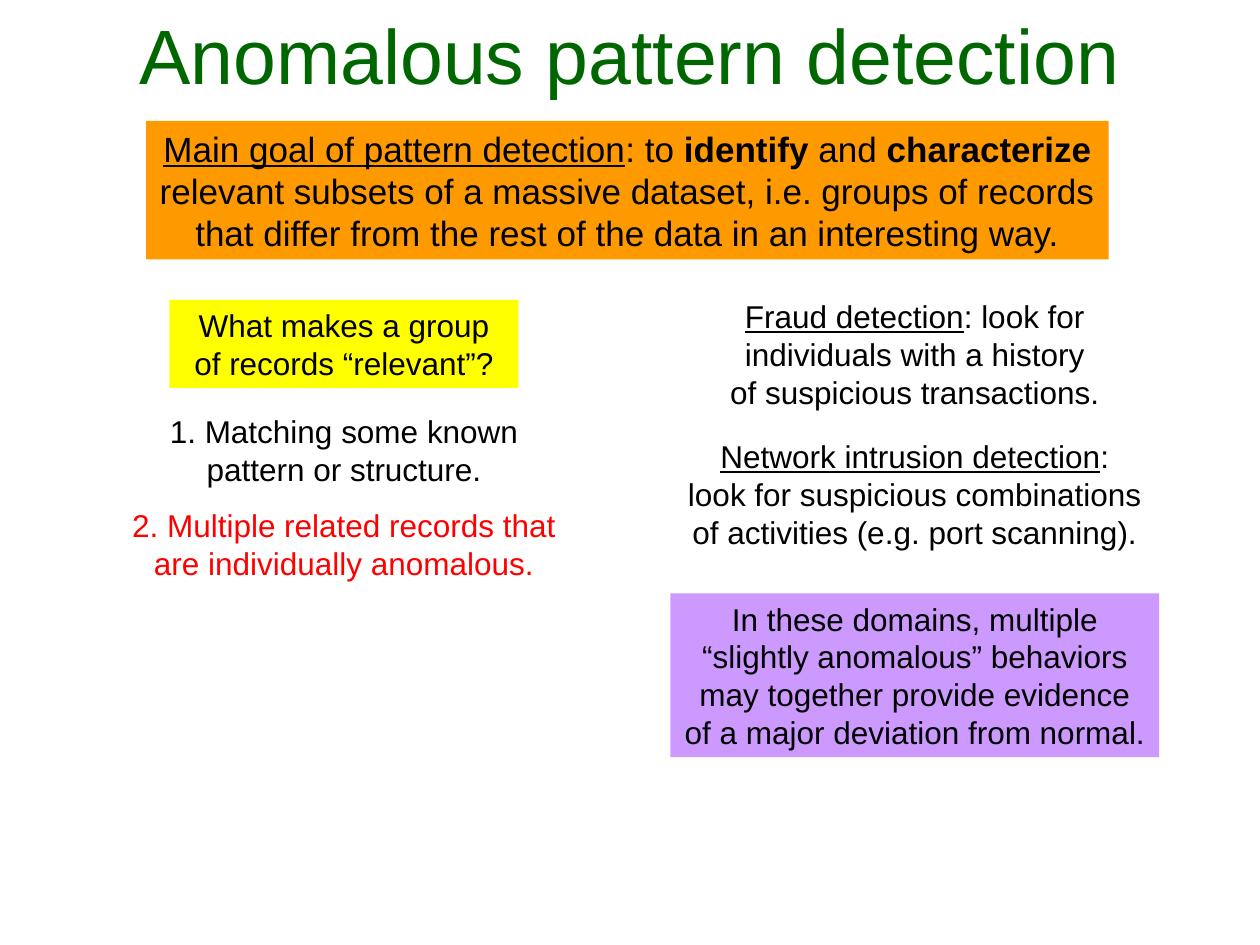
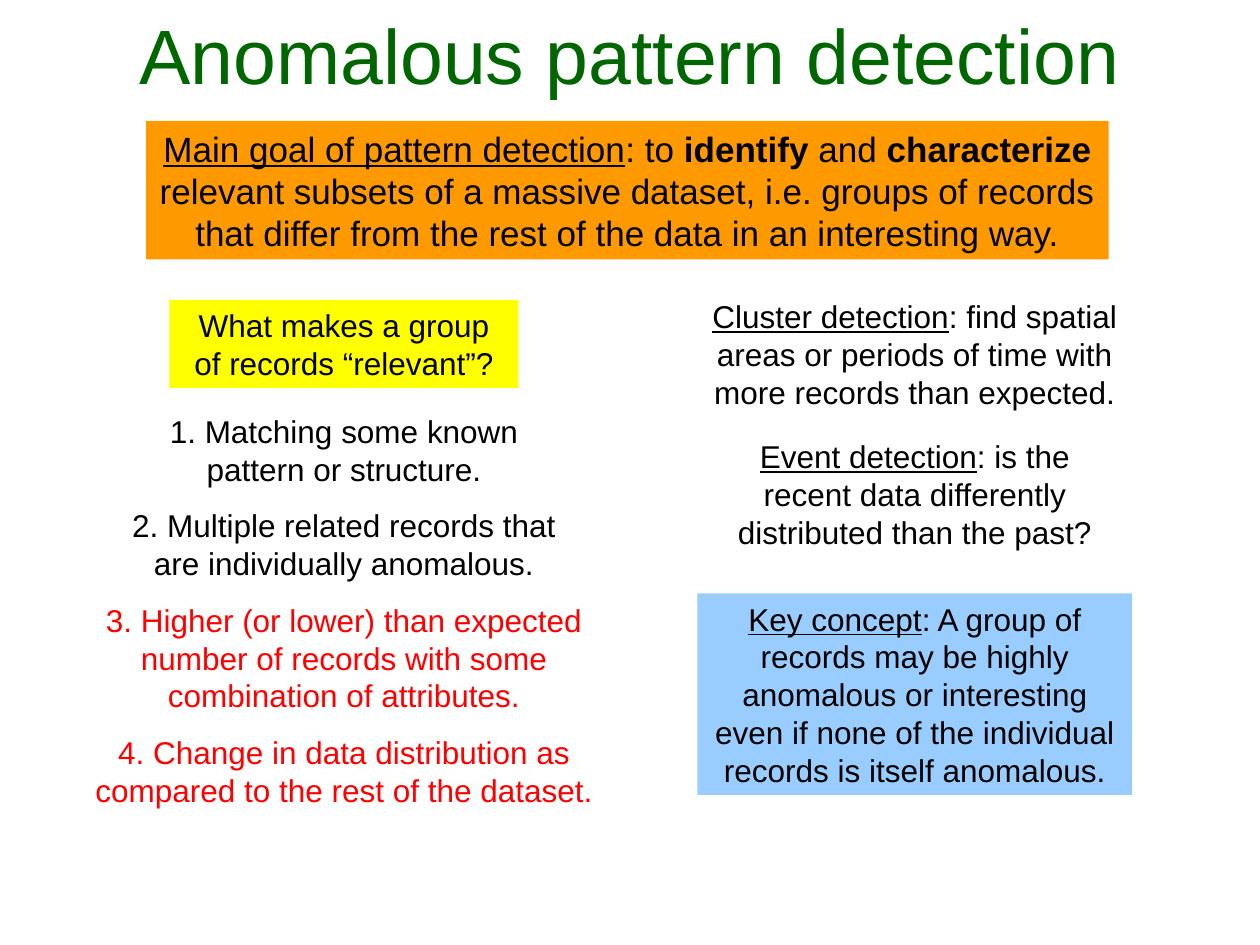
from dataclasses import dataclass

from pptx import Presentation
from pptx.dml.color import RGBColor
from pptx.enum.shapes import MSO_SHAPE
from pptx.enum.text import MSO_ANCHOR, PP_ALIGN
from pptx.util import Inches, Pt

RECTANGLE = MSO_SHAPE.RECTANGLE
CENTER = PP_ALIGN.CENTER
TOP, BOTTOM = MSO_ANCHOR.TOP, MSO_ANCHOR.BOTTOM
BLANK_LAYOUT = 6


@dataclass(frozen=True)
class Theme:
    font: str = "Arial"
    title_size: int = 44
    goal_size: int = 20
    body_size: int = 18
    title: str = "006600"
    text: str = "000000"
    highlight: str = "FF0000"
    goal: str = "FF9900"
    question: str = "FFFF00"
    evidence: str = "CC99FF"
    concept: str = "99CCFF"


@dataclass(frozen=True)
class Block:
    width: float
    lines: int
    runs: tuple
    color: str = Theme.text
    fill: str = ""

    @property
    def height(self):
        return 0.1 + 0.3 * self.lines


THEME = Theme()
LEFT_CENTER, RIGHT_CENTER = 2.73, 7.26
UNDERLINE, BOLD = "underline", "bold"


def plain(text):
    return ((text, ""),)


def headed(heading, text):
    return ((heading, UNDERLINE), (text, ""))


GOAL = (
    ("Main goal of pattern detection", UNDERLINE),
    (": to ", ""),
    ("identify", BOLD),
    (" and ", ""),
    ("characterize", BOLD),
    (" relevant subsets of a massive dataset, i.e. groups of records "
     "that differ from the rest of the data in an interesting way.", ""),
)
QUESTION = Block(2.77, 2, plain("What makes a group of records “relevant”?"),
                 fill=THEME.question)
POINTS = (
    (3.02, 2, plain("1. Matching some known pattern or structure.")),
    (3.66, 2, plain("2. Multiple related records that are individually anomalous.")),
    (4.03, 3, plain("3. Higher (or lower) than expected number of records "
                    "with some combination of attributes.")),
    (4.27, 2, plain("4. Change in data distribution as compared to the rest "
                    "of the dataset.")),
)
SLIDES = (
    {
        "shown": 2,
        "new_from": 1,
        "examples": (
            Block(3.29, 3, headed("Fraud detection",
                                  ": look for individuals with a history\n"
                                  "of suspicious transactions.")),
            Block(3.8, 3, headed("Network intrusion detection",
                                 ": look for suspicious combinations "
                                 "of activities (e.g. port scanning).")),
        ),
        "conclusion": Block(3.88, 4, plain(
            "In these domains, multiple “slightly anomalous” behaviors may "
            "together provide evidence of a major deviation from normal."),
            fill=THEME.evidence),
    },
    {
        "shown": 4,
        "new_from": 2,
        "examples": (
            Block(3.7, 3, headed("Cluster detection",
                                 ": find spatial areas or periods of time "
                                 "with more records than expected.")),
            Block(3.35, 3, headed("Event detection",
                                  ": is the recent data differently "
                                  "distributed than the past?")),
        ),
        "conclusion": Block(3.45, 5, headed(
            "Key concept",
            ": A group of records may be highly anomalous or interesting "
            "even if none of the individual records is itself anomalous."),
            fill=THEME.concept),
    },
)


def add_text(slide, box, runs, size=THEME.body_size, color=THEME.text, fill="",
             anchor=TOP):
    position = [Inches(length) for length in box]
    if fill:
        shape = slide.shapes.add_shape(RECTANGLE, *position)
        shape.shadow.inherit = False
        shape.fill.solid()
        shape.fill.fore_color.rgb = RGBColor.from_string(fill)
        shape.line.fill.background()
    else:
        shape = slide.shapes.add_textbox(*position)
    frame = shape.text_frame
    frame.word_wrap = True
    frame.vertical_anchor = anchor
    paragraph = frame.paragraphs[0]
    paragraph.alignment = CENTER
    paragraph.font.name = THEME.font
    paragraph.font.size = Pt(size)
    paragraph.font.color.rgb = RGBColor.from_string(color)
    for text, style in runs:
        for index, line in enumerate(text.split("\n")):
            if index:
                paragraph.add_line_break()
            run = paragraph.add_run()
            run.text = line
            if style == UNDERLINE:
                run.font.underline = True
            elif style == BOLD:
                run.font.bold = True


def add_header(slide, left, top, width):
    add_text(slide, (left, top, width, 0.76), plain("Anomalous pattern detection"),
             THEME.title_size, THEME.title, anchor=BOTTOM)
    add_text(slide, (left + 0.66, top + 0.88, 7.64, 1.1), GOAL,
             THEME.goal_size, fill=THEME.goal)


def add_stack(slide, center, top, gap, blocks):
    for block in blocks:
        add_text(slide, (center - block.width / 2, top, block.width, block.height),
                 block.runs, color=block.color, fill=block.fill)
        top += block.height + gap


def add_relevance_column(slide, center, top, shown, new_from):
    add_stack(slide, center, top, 0, [QUESTION])
    points = [
        Block(*point, color=THEME.highlight if index >= new_from else THEME.text)
        for index, point in enumerate(POINTS[:shown])
    ]
    add_stack(slide, center, top + 0.84, 0.05, points)


def add_example_column(slide, center, top, examples, conclusion):
    add_stack(slide, center, top, 0.11, examples)
    add_stack(slide, center, top + 2.4, 0, [conclusion])


def add_pattern_slide(presentation, content):
    slide = presentation.slides.add_slide(presentation.slide_layouts[BLANK_LAYOUT])
    add_header(slide, 0.5, 0.08, 9)
    add_relevance_column(slide, LEFT_CENTER, 2.38, content["shown"],
                         content["new_from"])
    add_example_column(slide, RIGHT_CENTER, 2.31, content["examples"],
                       content["conclusion"])


def main():
    presentation = Presentation()
    presentation.slide_width = Inches(10)
    presentation.slide_height = Inches(7.5)
    for content in SLIDES:
        add_pattern_slide(presentation, content)
    presentation.save("out.pptx")


if __name__ == "__main__":
    main()
